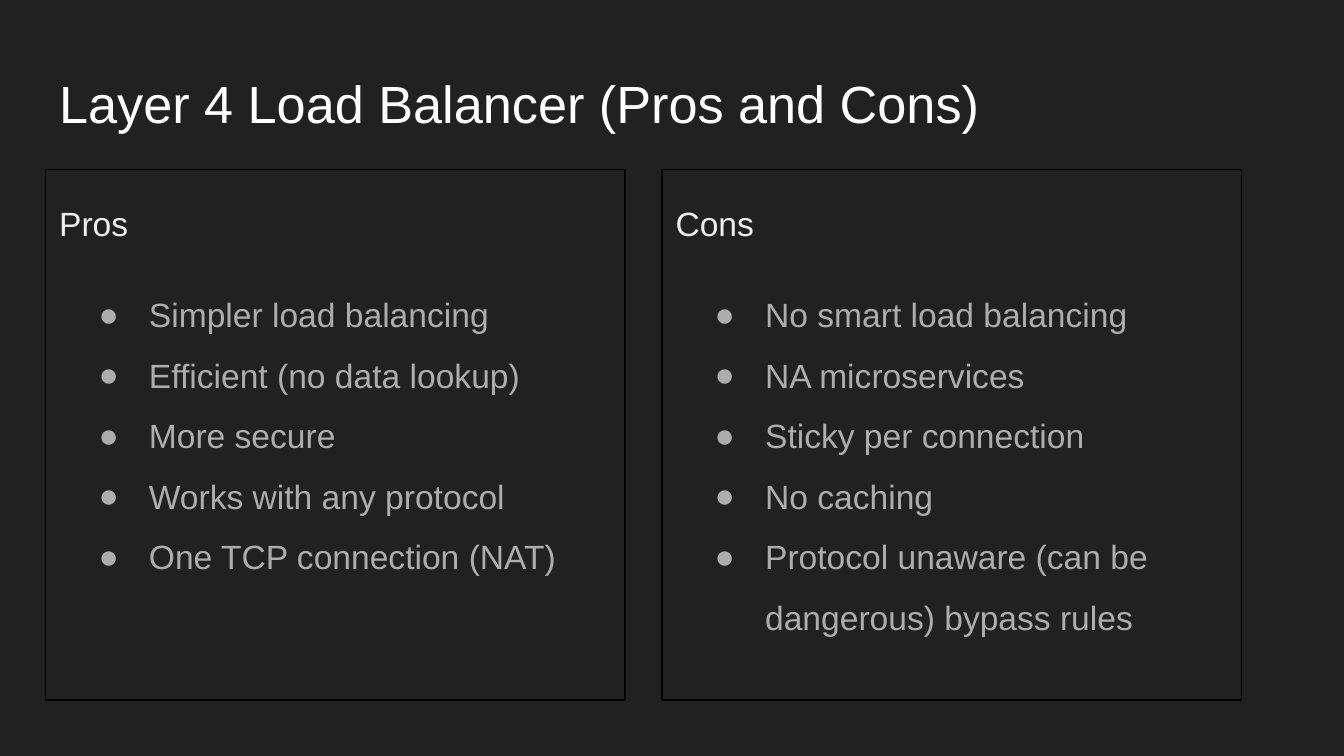
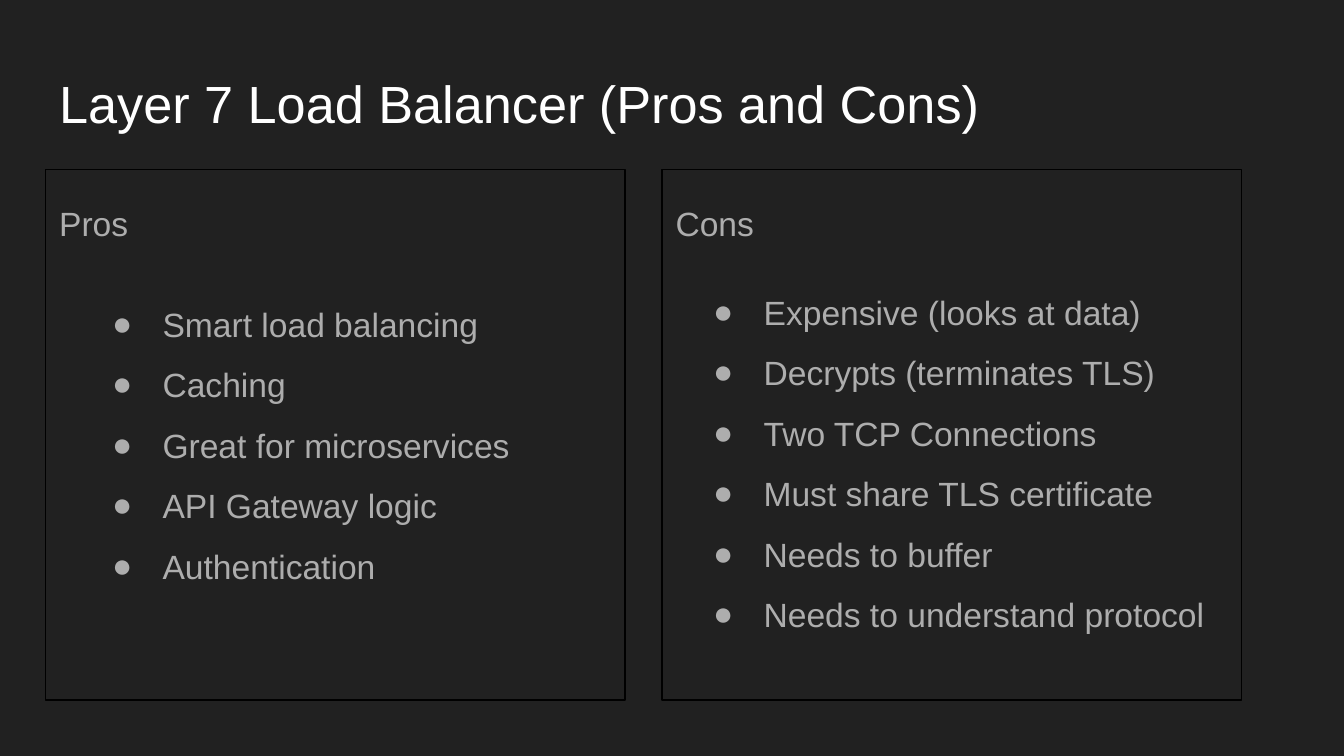
"""Build two slides weighing the pros and cons of layer 4 and layer 7 load balancers."""
from lxml.etree import SubElement
from pptx import Presentation
from pptx.dml.color import RGBColor
from pptx.enum.text import MSO_ANCHOR, MSO_AUTO_SIZE, PP_ALIGN
from pptx.oxml.ns import qn
from pptx.util import Pt

BACKGROUND = RGBColor(0x21, 0x21, 0x21)
WHITE = RGBColor(0xFF, 0xFF, 0xFF)
PALE = RGBColor(0xEE, 0xEE, 0xEE)
GREY = RGBColor(0xAD, 0xAD, 0xAD)
BLACK = RGBColor(0, 0, 0)

FONT = "Arial"
MARGIN = 24.5
PANEL_TOP, PANEL_WIDTH, PANEL_HEIGHT, PANEL_STEP = 90.7, 310.3, 284.4, 330.2

SLIDES = [
    ("Layer 4 Load Balancer (Pros and Cons)", PALE, [
        ("Pros", (36.7, 139.7, 281.5, 213.8), [
            "Simpler load balancing",
            "Efficient (no data lookup)",
            "More secure",
            "Works with any protocol",
            "One TCP connection (NAT)",
        ]),
        ("Cons", (366.8, 139.7, 281.5, 221), [
            "No smart load balancing",
            "NA microservices",
            "Sticky per connection",
            "No caching",
            "Protocol unaware (can be dangerous) bypass rules",
        ]),
    ]),
    ("Layer 7 Load Balancer (Pros and Cons)", GREY, [
        ("Pros", (44, 144.7, 281.5, 182.9), [
            "Smart load balancing",
            "Caching",
            "Great for microservices",
            "API Gateway logic",
            "Authentication",
        ]),
        ("Cons", (366, 138.2, 288.7, 221), [
            "Expensive (looks at data)",
            "Decrypts (terminates TLS)",
            "Two TCP Connections",
            "Must share TLS certificate",
            "Needs to buffer",
            "Needs to understand protocol",
        ]),
    ]),
]


def place(box, left, top, width, height):
    """Position a box and give its text frame the shared margins."""
    box.left, box.top, box.width, box.height = Pt(left), Pt(top), Pt(width), Pt(height)
    frame = box.text_frame
    frame.word_wrap = True
    frame.auto_size = MSO_AUTO_SIZE.NONE
    frame.vertical_anchor = MSO_ANCHOR.TOP
    frame.margin_left = frame.margin_right = Pt(7.2)
    frame.margin_top = frame.margin_bottom = Pt(7.2)


def write(para, text, size=18, color=GREY, spacing=1.5, before=0, after=0, bullet=False):
    """Fill a paragraph with one formatted span, bulleted or plain."""
    para.alignment = PP_ALIGN.LEFT
    para.line_spacing = spacing
    para.space_before, para.space_after = Pt(before), Pt(after)
    span = para.add_run()
    span.text = text
    span.font.name, span.font.size = FONT, Pt(size)
    span.font.color.rgb = color
    properties = para._p.get_or_add_pPr()
    properties.set("marL", str(Pt(36 if bullet else 0)))
    properties.set("indent", str(Pt(-27 if bullet else 0)))
    if bullet:
        bullet_color = SubElement(properties, qn("a:buClr"))
        SubElement(bullet_color, qn("a:srgbClr"), val=str(color))
        SubElement(properties, qn("a:buFont"), typeface=FONT)
        SubElement(properties, qn("a:buChar"), char="●")
    else:
        SubElement(properties, qn("a:buNone"))


deck = Presentation()
deck.slide_width, deck.slide_height = Pt(720), Pt(405)
master_fill = deck.slide_master.background.fill
master_fill.solid()
master_fill.fore_color.rgb = BACKGROUND
two_content = deck.slide_layouts.get_by_name("Two Content")

for title, heading_color, columns in SLIDES:
    page = deck.slides.add_slide(two_content)
    place(page.shapes.title, MARGIN, 35, 671, 45.1)
    write(page.shapes.title.text_frame.paragraphs[0], title, size=28, color=WHITE, spacing=0.9)

    for number, (heading, list_area, items) in enumerate(columns):
        panel = page.placeholders[number + 1]
        place(panel, MARGIN + number * PANEL_STEP, PANEL_TOP, PANEL_WIDTH, PANEL_HEIGHT)
        panel.line.color.rgb = BLACK
        panel.line.width = Pt(0.75)
        write(panel.text_frame.paragraphs[0], heading, color=heading_color, before=12, after=12)

        box = page.shapes.add_textbox(0, 0, 0, 0)
        place(box, *list_area)
        for row, item in enumerate(items):
            para = box.text_frame.add_paragraph() if row else box.text_frame.paragraphs[0]
            write(para, item, before=0 if row else 12, bullet=True)

deck.save("out.pptx")
